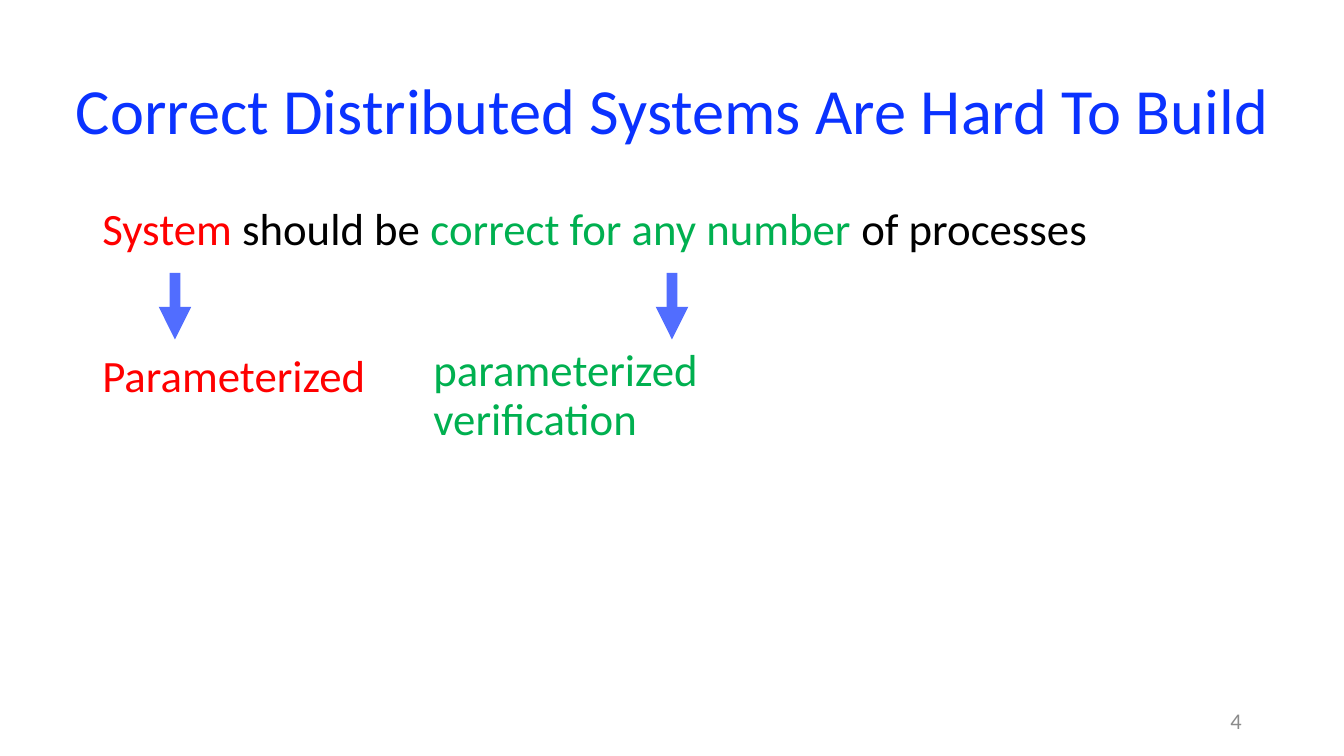
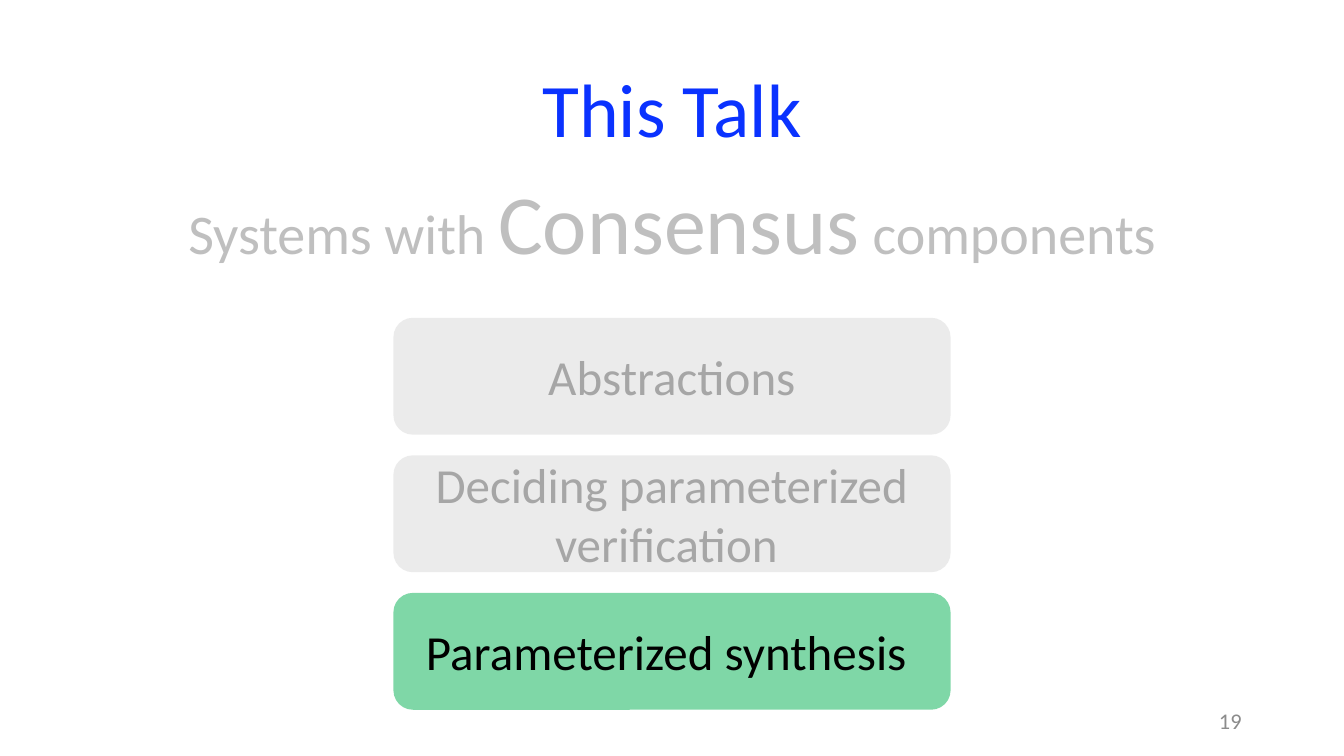
from lxml import etree
from pptx import Presentation
from pptx.dml.color import RGBColor
from pptx.enum.shapes import MSO_CONNECTOR, MSO_SHAPE
from pptx.enum.text import MSO_ANCHOR, MSO_AUTO_SIZE, PP_ALIGN
from pptx.oxml.ns import qn
from pptx.util import Pt

LEFT, CENTER, RIGHT = PP_ALIGN.LEFT, PP_ALIGN.CENTER, PP_ALIGN.RIGHT
TOP, MIDDLE = MSO_ANCHOR.TOP, MSO_ANCHOR.MIDDLE
NO_FIT = MSO_AUTO_SIZE.NONE
ROUNDED = MSO_SHAPE.ROUNDED_RECTANGLE
STRAIGHT = MSO_CONNECTOR.STRAIGHT

BLUE = RGBColor(0x0A, 0x32, 0xFF)
RED = RGBColor(0xFF, 0x00, 0x00)
GREEN = RGBColor(0x00, 0xB0, 0x50)
BLACK = RGBColor(0x00, 0x00, 0x00)
NUMBER_GRAY = RGBColor(0x8C, 0x8C, 0x8C)
DIM_LEAD = RGBColor(0xBF, 0xBF, 0xBF)
DIM_TEXT = RGBColor(0xA6, 0xA6, 0xA6)
DIM_FILL = RGBColor(0xD9, 0xD9, 0xD9)

FONT = "Calibri"
WIDTH, HEIGHT = 960, 540
MARGIN = 66
BODY_SIZE = 32
TITLE_ONLY = 5


class Deck:
    def __init__(self):
        self.prs = Presentation()
        self.prs.slide_width = Pt(WIDTH)
        self.prs.slide_height = Pt(HEIGHT)
        self.slide = None

    def style(self, font, size, color):
        font.name = FONT
        font.size = Pt(size)
        font.color.rgb = color

    def opacity(self, sp, percent):
        for color in sp._element.spPr.iter(qn("a:srgbClr")):
            etree.SubElement(color, qn("a:alpha"), val=str(percent * 1000))

    def fill_text(self, sp, text, size, color, align, anchor, spacing=1.0):
        tf = sp.text_frame
        tf.word_wrap = True
        tf.auto_size = NO_FIT
        tf.vertical_anchor = anchor
        p = tf.paragraphs[0]
        p.text = text
        p.alignment = align
        p.line_spacing = spacing
        self.style(p.font, size, color)
        return p

    def new_slide(self, title, number, title_size):
        self.slide = self.prs.slides.add_slide(self.prs.slide_layouts[TITLE_ONLY])
        sp = self.slide.shapes.title
        sp.left, sp.top, sp.width, sp.height = Pt(0), Pt(29), Pt(WIDTH), Pt(104)
        self.fill_text(sp, title, title_size, BLUE, CENTER, MIDDLE, 0.9)
        self.text(str(number), 678, 500, 216, 29, 16, NUMBER_GRAY, RIGHT, MIDDLE)

    def text(self, text, x, y, w, h, size, color, align=LEFT, anchor=TOP, spacing=1.0):
        sp = self.slide.shapes.add_textbox(Pt(x), Pt(y), Pt(w), Pt(h))
        return self.fill_text(sp, text, size, color, align, anchor, spacing)

    def mixed_text(self, runs, y, h, align=LEFT):
        sp = self.slide.shapes.add_textbox(Pt(MARGIN), Pt(y), Pt(WIDTH - 2 * MARGIN), Pt(h))
        tf = sp.text_frame
        tf.word_wrap = True
        p = tf.paragraphs[0]
        p.alignment = align
        p.line_spacing = 0.9
        for text, size, color in runs:
            r = p.add_run()
            r.text = text
            self.style(r.font, size, color)

    def down_arrow(self, x, top, bottom):
        line = self.slide.shapes.add_connector(STRAIGHT, Pt(x), Pt(top), Pt(x), Pt(bottom))
        line.line.color.rgb = BLUE
        line.line.width = Pt(7.75)
        self.opacity(line, 71)
        spPr = line._element.spPr
        etree.SubElement(spPr.find(qn("a:ln")), qn("a:tailEnd"), type="triangle")
        etree.SubElement(spPr, qn("a:effectLst"))

    def topic(self, text, y, fill, color):
        w = 398
        sp = self.slide.shapes.add_shape(ROUNDED, Pt((WIDTH - w) / 2), Pt(y), Pt(w), Pt(83.5))
        sp.shadow.inherit = False
        sp.fill.solid()
        sp.fill.fore_color.rgb = fill
        sp.line.fill.background()
        self.opacity(sp, 50)
        self.fill_text(sp, text, 35, color, CENTER, MIDDLE)


def build_hard_to_build(deck):
    deck.new_slide("Correct Distributed Systems Are Hard To Build", 4, 46)
    deck.mixed_text([
        ("System", BODY_SIZE, RED),
        (" should be ", BODY_SIZE, BLACK),
        ("correct for any number ", BODY_SIZE, GREEN),
        ("of processes", BODY_SIZE, BLACK),
    ], 144, 46)
    for x in (125, 480):
        deck.down_arrow(x, 195, 242.5)
    deck.text("Parameterized", MARGIN, 245, 210, 46, BODY_SIZE, RED)
    deck.text("parameterized verification", 302.5, 245, 240, 80, BODY_SIZE, GREEN, spacing=0.9)


def build_this_talk(deck):
    deck.new_slide("This Talk", 19, 54)
    deck.mixed_text([
        ("Systems with ", 40, DIM_LEAD),
        ("Consensus", 60, DIM_LEAD),
        (" components", 40, DIM_LEAD),
    ], 126.5, 80, CENTER)
    topics = [
        ("Abstractions", DIM_FILL, DIM_TEXT),
        ("Deciding parameterized verification ", DIM_FILL, DIM_TEXT),
        ("Parameterized synthesis ", GREEN, BLACK),
    ]
    for i, (text, fill, color) in enumerate(topics):
        deck.topic(text, 227 + i * 98.25, fill, color)


def main():
    deck = Deck()
    build_hard_to_build(deck)
    build_this_talk(deck)
    deck.prs.save("out.pptx")


if __name__ == "__main__":
    main()
